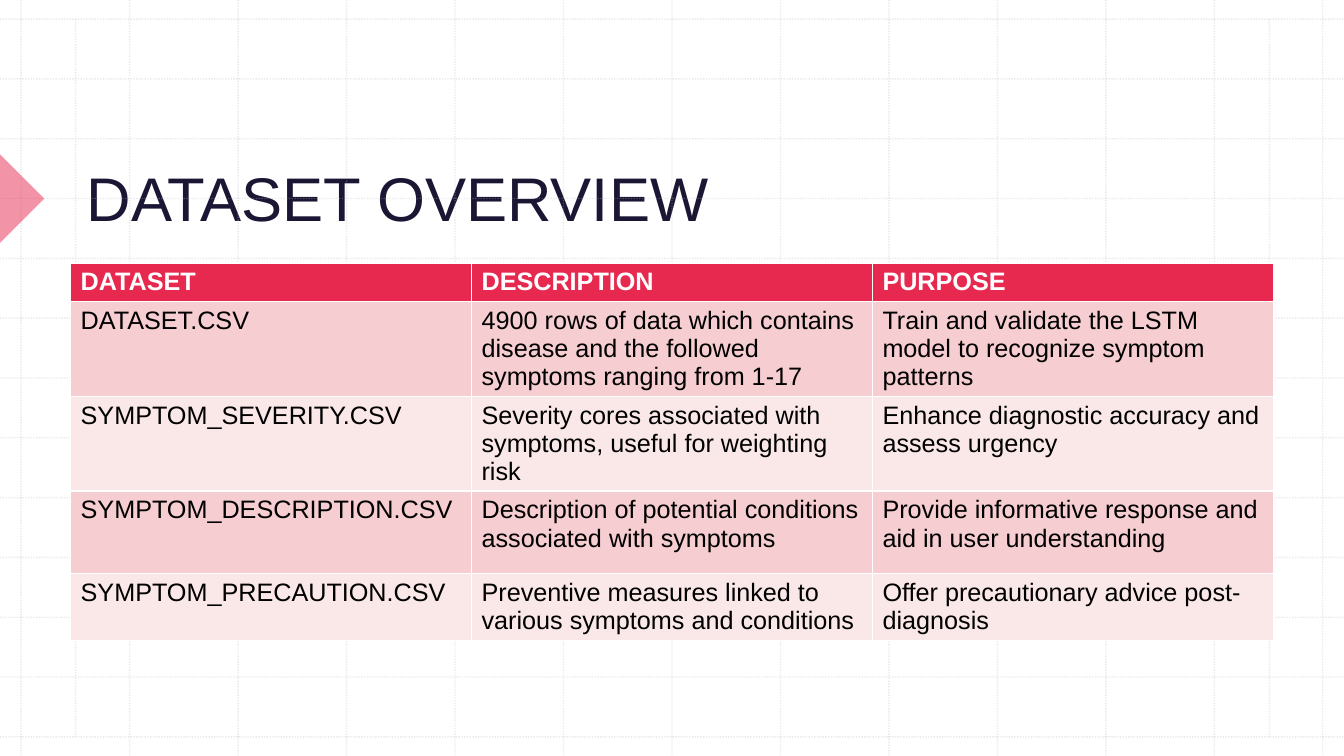
from lxml import etree
from pptx import Presentation
from pptx import util as u
from pptx.dml.color import RGBColor
from pptx.enum import dml, shapes, text
from pptx.oxml.ns import qn

WIDE, HIGH = 13.33, 7.5
STEPS = 12
RED, NAVY, WHITE, BLACK, GREY = "E72950", "1A1634", "FFFFFF", "000000", "BCBCBC"
BANDS = ("F6CDD0", "FAE8E9")
HEIGHTS = (0.33, 0.82, 0.82, 0.82, 0.58)
ROWS = (
    ("DATASET", "DESCRIPTION", "PURPOSE"),
    ("DATASET.CSV",
     "4900 rows of data which contains disease and the followed symptoms ranging from 1-17",
     "Train and validate the LSTM model to recognize symptom patterns"),
    ("SYMPTOM_SEVERITY.CSV",
     "Severity cores associated with symptoms, useful for weighting risk",
     "Enhance diagnostic accuracy and assess urgency"),
    ("SYMPTOM_DESCRIPTION.CSV",
     "Description of potential conditions associated with symptoms",
     "Provide informative response and aid in user understanding"),
    ("SYMPTOM_PRECAUTION.CSV",
     "Preventive measures linked to various symptoms and conditions",
     "Offer precautionary advice post-diagnosis"),
)


def paint(fill, color, share=None):
    """Fill solidly; share is the opacity in percent."""
    fill.solid()
    fill.fore_color.rgb = RGBColor.from_string(color)
    if share:
        tint = fill._xPr.find(qn("a:solidFill"))[0]
        etree.SubElement(tint, qn("a:alpha"), val=str(share * 1000))


def write(frame, words, size, color, bold=False):
    run = frame.paragraphs[0].add_run()
    run.text = words
    run.font.name = "Arial"
    run.font.size = u.Pt(size)
    run.font.bold = bold
    run.font.color.rgb = RGBColor.from_string(color)


def rule(slide, *ends):
    """Draw one faint dotted line."""
    line = slide.shapes.add_connector(
        shapes.MSO_CONNECTOR.STRAIGHT, *map(u.Inches, ends))
    line.line.width = u.Pt(1)
    paint(line.line.fill, GREY, 30)
    line.line.dash_style = dml.MSO_LINE.ROUND_DOT
    etree.SubElement(line._element.spPr, qn("a:effectLst"))


def grid(slide, left, top, width, height):
    """Rule the whole slide, with two margin lines inside the box's height."""
    for i in range(STEPS + 1):
        x = left + width * i / STEPS
        y = top + height * i / STEPS
        rule(slide, x, 0, x, HIGH)
        rule(slide, 0, y, WIDE, y)
    for x in (0.75, 12.59):
        rule(slide, x, top, x, top + height)


def marker(slide, left, top, side):
    shape = slide.shapes.add_shape(
        shapes.MSO_SHAPE.RIGHT_TRIANGLE, *map(u.Inches, (left, top, side, side)))
    shape.rotation = 225
    shape.shadow.inherit = False
    shape.line.fill.background()
    paint(shape.fill, RED, 50)


def heading(slide, *box):
    title = slide.shapes.title
    title.left, title.top, title.width, title.height = map(u.Inches, box)
    frame = title.text_frame
    frame.word_wrap = True
    frame.vertical_anchor = text.MSO_ANCHOR.BOTTOM
    frame.paragraphs[0].alignment = text.PP_ALIGN.LEFT
    write(frame, "DATASET OVERVIEW", 44, NAVY)


def dataset(slide, left, top, width):
    box = map(u.Inches, (left, top, width, sum(HEIGHTS)))
    table = slide.shapes.add_table(len(ROWS), len(ROWS[0]), *box).table
    for r, (row, high) in enumerate(zip(ROWS, HEIGHTS)):
        table.rows[r].height = u.Inches(high)
        head = r == 0
        for c, words in enumerate(row):
            cell = table.cell(r, c)
            paint(cell.fill, RED if head else BANDS[(r - 1) % 2])
            write(cell.text_frame, words, 18, WHITE if head else BLACK, head)


def main():
    deck = Presentation()
    deck.slide_width, deck.slide_height = u.Inches(WIDE), u.Inches(HIGH)
    slide = deck.slides.add_slide(deck.slide_layouts[5])
    paint(slide.background.fill, WHITE)
    grid(slide, 0.21, 0.19, 12.91, 7.12)
    marker(slide, -0.31, 1.66, 0.62)
    heading(slide, 0.76, 0.79, 11.29, 1.58)
    dataset(slide, 0.7, 2.61, 11.93)
    deck.save("out.pptx")


if __name__ == "__main__":
    main()
